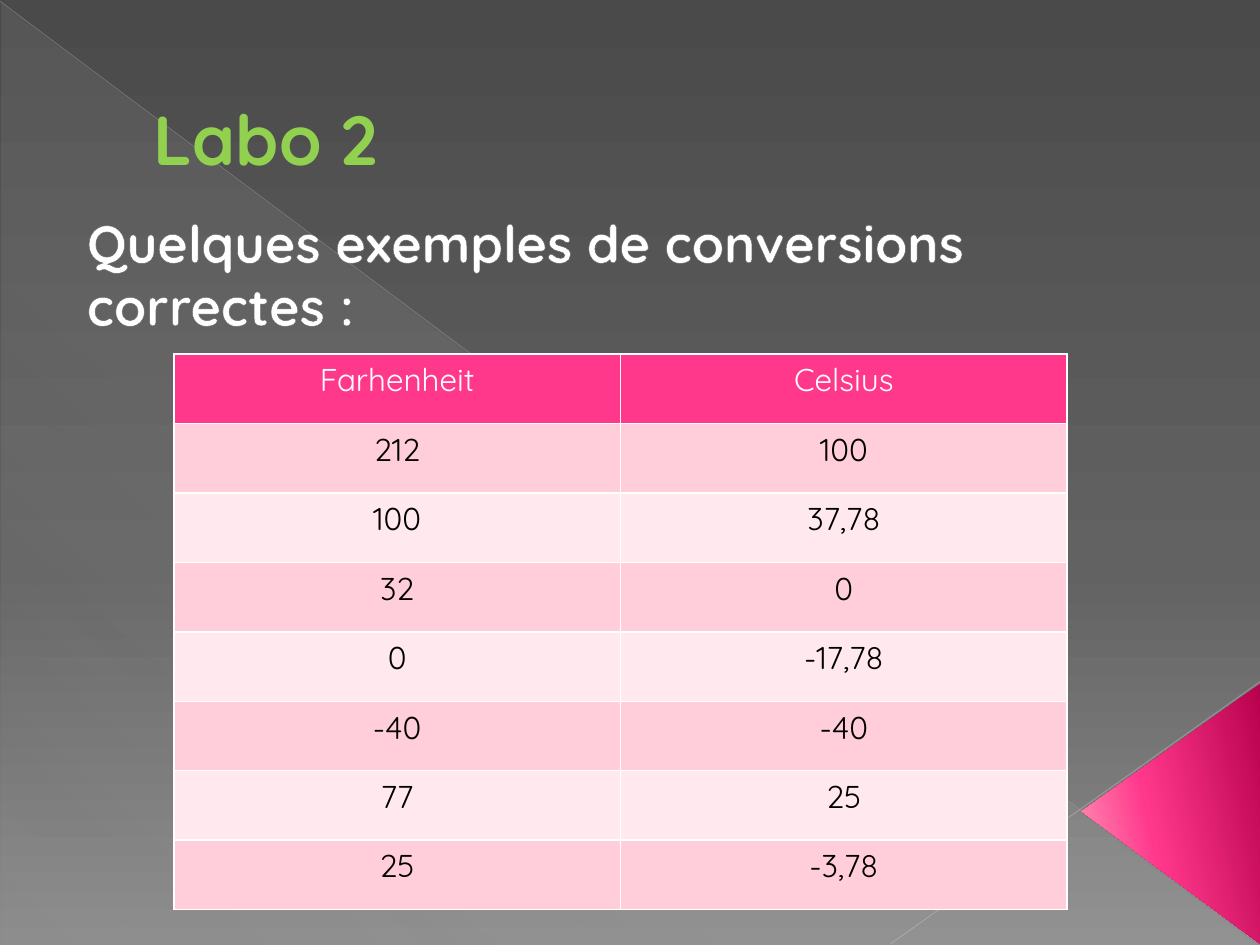
import pptx
import pptx.util
import pptx.dml.color
import pptx.enum.shapes
import pptx.enum.text
import pptx.oxml
import pptx.oxml.ns

Inches = pptx.util.Inches
Pt = pptx.util.Pt
qn = pptx.oxml.ns.qn
NS = pptx.oxml.ns.nsdecls("a")
KIND = pptx.enum.shapes.MSO_SHAPE
ALIGN = pptx.enum.text.PP_ALIGN
ANCHOR = pptx.enum.text.MSO_ANCHOR

COLORS = {
    "dark": "4A4A4A", "mid": "626262", "light": "8C8C8C",
    "veil": "D2D2D2", "edge": "BFBFBF", "ray": "C6C6C6",
    "wine": "B8014E", "pink": "FF388C", "rose": "FF9CB9",
    "green": "92D050", "plum": "B12761", "gray": "666666",
    "white": "FFFFFF", "black": "000000",
    "band": "FFCEDA", "pale": "FFE8EE",
}

ROWS = [
    ("Farhenheit", "Celsius"),
    ("212", "100"),
    ("100", "37,78"),
    ("32", "0"),
    ("0", "-17,78"),
    ("-40", "-40"),
    ("77", "25"),
    ("25", "-3,78"),
]


class Deck:
    font = "Quicksand"

    def __init__(self):
        self.file = pptx.Presentation()
        self.file.slide_width = Inches(10)
        self.file.slide_height = Inches(7.5)
        self.slide = self.file.slides.add_slide(self.file.slide_layouts[0])

    def color(self, name):
        return pptx.dml.color.RGBColor.from_string(COLORS[name])

    def blend(self, fill, root, stops, angle):
        fill.gradient()
        old = root.find(".//" + qn("a:gradFill"))
        marks = "".join(
            f'<a:gs pos="{pos * 1000}"><a:srgbClr val="{COLORS[name]}">'
            f'<a:alpha val="{alpha * 1000}"/></a:srgbClr></a:gs>'
            for pos, name, alpha in stops)
        new = pptx.oxml.parse_xml(
            f'<a:gradFill {NS} rotWithShape="1"><a:gsLst>{marks}</a:gsLst>'
            f'<a:lin ang="{angle * 60000}" scaled="0"/></a:gradFill>')
        old.getparent().replace(old, new)

    def back(self, stops, angle):
        self.blend(self.slide.background.fill, self.slide.element, stops, angle)

    def shape(self, kind, box, stops, angle, turn=0):
        shape = self.slide.shapes.add_shape(kind, *map(Inches, box))
        shape.shadow.inherit = False
        shape.line.fill.background()
        shape.rotation = turn
        self.blend(shape.fill, shape.element, stops, angle)
        return shape

    def line(self, ends, name, width, alpha):
        line = self.slide.shapes.add_connector(
            pptx.enum.shapes.MSO_CONNECTOR.STRAIGHT, *map(Inches, ends))
        line.line.color.rgb = self.color(name)
        line.line.width = Pt(width)
        tint = line.element.spPr.find(".//" + qn("a:srgbClr"))
        tint.append(pptx.oxml.parse_xml(f'<a:alpha {NS} val="{alpha * 1000}"/>'))
        line.element.spPr.append(pptx.oxml.parse_xml(f"<a:effectLst {NS}/>"))

    def style(self, part, size, name, bold=False):
        for run in part.runs:
            run.font.name = self.font
            run.font.size = Pt(size)
            run.font.bold = bold
            run.font.color.rgb = self.color(name)

    def text(self, index, box, text, size, name, rim, width, anchor, indent=0):
        shape = self.slide.placeholders[index]
        shape.element.getparent().append(shape.element)
        shape.left, shape.top, shape.width, shape.height = map(Inches, box)
        frame = shape.text_frame
        frame.text = text
        frame.word_wrap = True
        frame.auto_size = pptx.enum.text.MSO_AUTO_SIZE.NONE
        frame.vertical_anchor = anchor
        part = frame.paragraphs[0]
        part.alignment = ALIGN.LEFT
        part.space_before = Pt(0)
        props = part._p.get_or_add_pPr()
        props.set("marL", str(Inches(indent)))
        props.set("indent", "0")
        self.style(part, size, name, True)
        for run in part.runs:
            run.font._element.insert(0, pptx.oxml.parse_xml(
                f'<a:ln {NS} w="{Pt(width)}"><a:solidFill>'
                f'<a:srgbClr val="{COLORS[rim]}"/></a:solidFill></a:ln>'))

    def border(self, cell):
        props = cell._tc.get_or_add_tcPr()
        for spot, side in enumerate("LRTB"):
            props.insert(spot, pptx.oxml.parse_xml(
                f'<a:ln{side} {NS} w="{Pt(1)}"><a:solidFill>'
                f'<a:srgbClr val="{COLORS["white"]}"/></a:solidFill></a:ln{side}>'))

    def table(self, box, rows):
        table = self.slide.shapes.add_table(
            len(rows), len(rows[0]), *map(Inches, box)).table
        for r, row in enumerate(rows):
            fill = "pink" if r == 0 else "band" if r % 2 else "pale"
            for c, text in enumerate(row):
                cell = table.cell(r, c)
                cell.fill.solid()
                cell.fill.fore_color.rgb = self.color(fill)
                self.border(cell)
                cell.text_frame.text = text
                part = cell.text_frame.paragraphs[0]
                part.alignment = ALIGN.CENTER
                self.style(part, 18, "black" if r else "white")


def main():
    deck = Deck()
    deck.back([(0, "dark", 100), (60, "mid", 100), (100, "light", 100)], 90)
    deck.shape(KIND.RIGHT_TRIANGLE, (0.01, 0.02, 9.98, 7.48),
               [(0, "veil", 10), (70, "veil", 8), (100, "veil", 1)], 133)
    deck.line((0, 0.01, 9.99, 7.49), "edge", 0.39, 35)
    deck.line((10, 5.41, 7.07, 7.49), "ray", 0.47, 45)
    wedge = deck.shape(KIND.ISOSCELES_TRIANGLE, (8.26, 5.75, 2.07, 1.42),
                       [(0, "wine", 100), (60, "pink", 100), (100, "rose", 100)],
                       258, 270)
    wedge.adjustments[0] = 0.51
    deck.text(0, (0.59, 0.85, 8.82, 0.62), "Labo 2", 39.6, "green",
              "plum", 0.5, ANCHOR.BOTTOM, 0.53)
    deck.text(1, (0.59, 1.62, 8.82, 5.43),
              "Quelques exemples de conversions correctes :", 30, "white",
              "gray", 0.75, ANCHOR.TOP)
    deck.table((1.38, 2.81, 7.09, 4.41), ROWS)
    deck.file.save("out.pptx")


if __name__ == "__main__":
    main()
